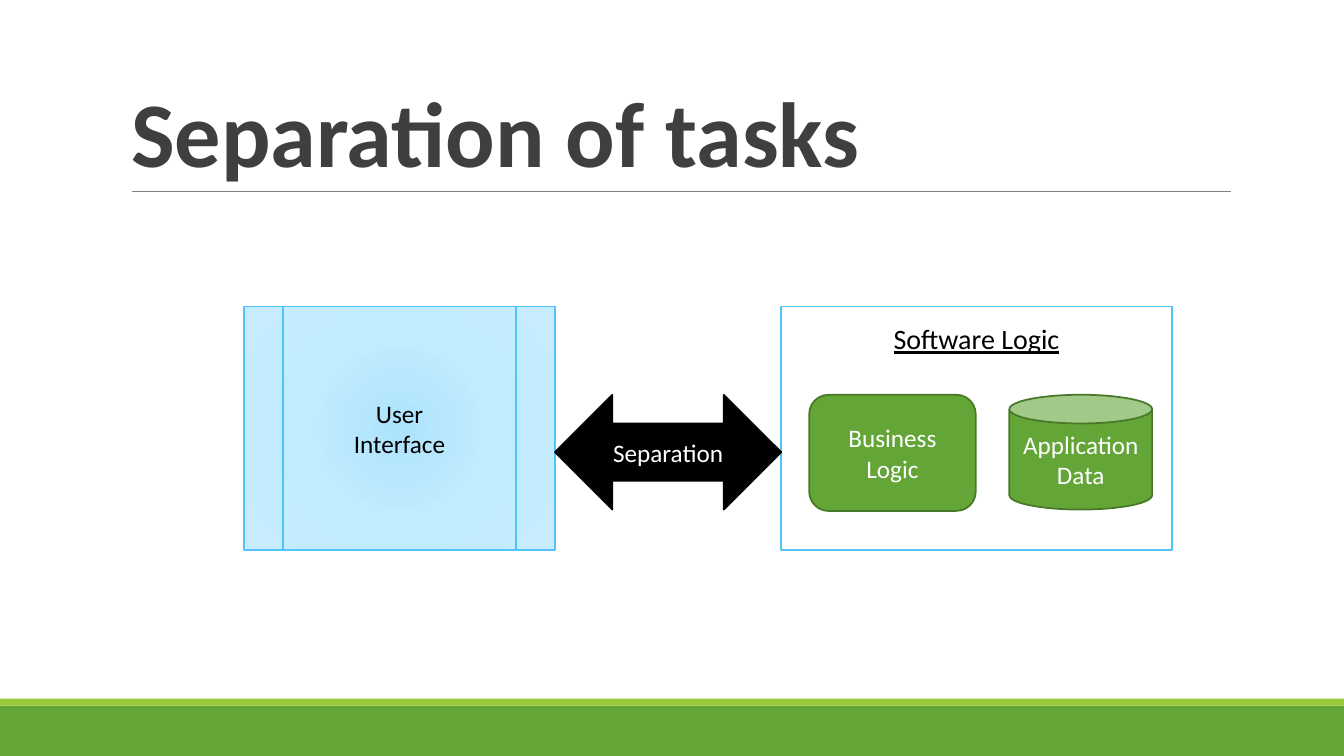
from dataclasses import dataclass
from lxml import etree
from pptx import Presentation
from pptx.dml.color import RGBColor
from pptx.enum import shapes as es, text as et
from pptx.oxml import ns, parse_xml
from pptx.util import Pt

KIND = es.MSO_SHAPE


@dataclass(frozen=True)
class Theme:
    font: str = "Calibri"
    head: str = "3F3F3F"
    rule: str = "7F7F7F"
    green: str = "63A537"
    lime: str = "99CB38"
    edge: str = "487928"
    sky: str = "51C3F9"
    glow: tuple = ((0, "ADE3FD"), (45, "C1EBFE"), (100, "C7ECFF"))
    black: str = "000000"
    white: str = "FFFFFF"
    big: int = 66
    mid: int = 20
    small: int = 18


T = Theme()


def color(code):
    return RGBColor.from_string(code)


def style(par, size, code, **extra):
    form = {"name": T.font, "size": Pt(size), **extra}
    for key, val in form.items():
        setattr(par.font, key, val)
    par.font.color.rgb = color(code)


def block(slide, kind, box, fill, line=None, width=1.25):
    shape = slide.shapes.add_shape(kind, *map(Pt, box))
    shape.shadow.inherit = False
    shape.fill.solid()
    shape.fill.fore_color.rgb = color(fill)
    if line:
        shape.line.color.rgb = color(line)
        shape.line.width = Pt(width)
    else:
        shape.line.fill.background()
    return shape


def label(shape, words, code, size=T.small, **extra):
    frame = shape.text_frame
    frame.word_wrap = True
    frame.vertical_anchor = et.MSO_ANCHOR.MIDDLE
    frame.text = words
    for par in frame.paragraphs:
        par.alignment = et.PP_ALIGN.CENTER
        style(par, size, code, **extra)


def radial(shape, stops):
    marks = "".join(f'<a:gs pos="{pos * 1000}"><a:srgbClr val="{code}"/></a:gs>'
                    for pos, code in stops)
    grad = parse_xml(
        f'<a:gradFill {ns.nsdecls("a")} rotWithShape="1"><a:gsLst>{marks}</a:gsLst>'
        '<a:path path="circle"><a:fillToRect l="50000" t="50000" r="50000" b="50000"/>'
        '</a:path></a:gradFill>')
    props = shape.element.spPr
    props.replace(props.find(ns.qn("a:solidFill")), grad)


def header(slide, box):
    x, y, w, h = box
    title = slide.shapes.title
    for key, val in zip(("left", "top", "width", "height"), box):
        setattr(title, key, Pt(val))
    frame = title.text_frame
    frame.text = "Separation of tasks"
    frame.auto_size = et.MSO_AUTO_SIZE.NONE
    frame.vertical_anchor = et.MSO_ANCHOR.BOTTOM
    par = frame.paragraphs[0]
    par.alignment = et.PP_ALIGN.LEFT
    par.line_spacing = 0.85
    style(par, T.big, T.head, bold=True)
    # Rule under the title
    rule = slide.shapes.add_connector(
        es.MSO_CONNECTOR.STRAIGHT, Pt(x + 8), Pt(y + h), Pt(x + w + 1), Pt(y + h))
    rule.line.color.rgb = color(T.rule)
    rule.line.width = Pt(0.75)
    etree.SubElement(rule.element.spPr, ns.qn("a:effectLst"))


def footer(slide, box):
    x, y, w, h = box
    strip = 5
    block(slide, KIND.RECTANGLE, (x, y + strip, w, h - strip), T.green)
    block(slide, KIND.RECTANGLE, (x, y, w, strip), T.lime)


def logic(slide, box):
    x, y, w, h = box
    frame = block(slide, KIND.RECTANGLE, box, T.white, T.sky)
    label(frame, "Software Logic", T.black, T.mid, underline=True)
    frame.text_frame.vertical_anchor = et.MSO_ANCHOR.TOP
    frame.text_frame.margin_top = Pt(11)
    # Parts of the logic
    parts = ((KIND.ROUNDED_RECTANGLE, 20, 119, 83, "Business Logic"),
             (KIND.CAN, 163, 102, 82, "Application Data"))
    for kind, dx, wide, high, words in parts:
        part = block(slide, kind, (x + dx, y + 63, wide, high), T.green, T.edge)
        label(part, words, T.white)


def diagram(slide, box):
    x, y, w, h = box
    left, right = 222, 279
    # User interface
    face = block(slide, KIND.FLOWCHART_PREDEFINED_PROCESS, (x, y, left, h),
                 T.white, T.sky, 1)
    radial(face, T.glow)
    label(face, "User\nInterface", T.black)
    # Software logic
    logic(slide, (x + w - right, y, right, h))
    # Arrow across the gap
    arrow = block(slide, KIND.LEFT_RIGHT_ARROW,
                  (x + left, y + 63, w - left - right, 82), T.black, T.black)
    label(arrow, "Separation", T.white)


def main():
    deck = Presentation()
    deck.slide_width, deck.slide_height = Pt(960), Pt(540)
    slide = deck.slides.add_slide(deck.slide_layouts[5])
    footer(slide, (0, 499, 960, 41))
    header(slide, (86.4, 22, 792, 114.5))
    diagram(slide, (174.4, 219, 662.6, 174))
    deck.save("out.pptx")


if __name__ == "__main__":
    main()
